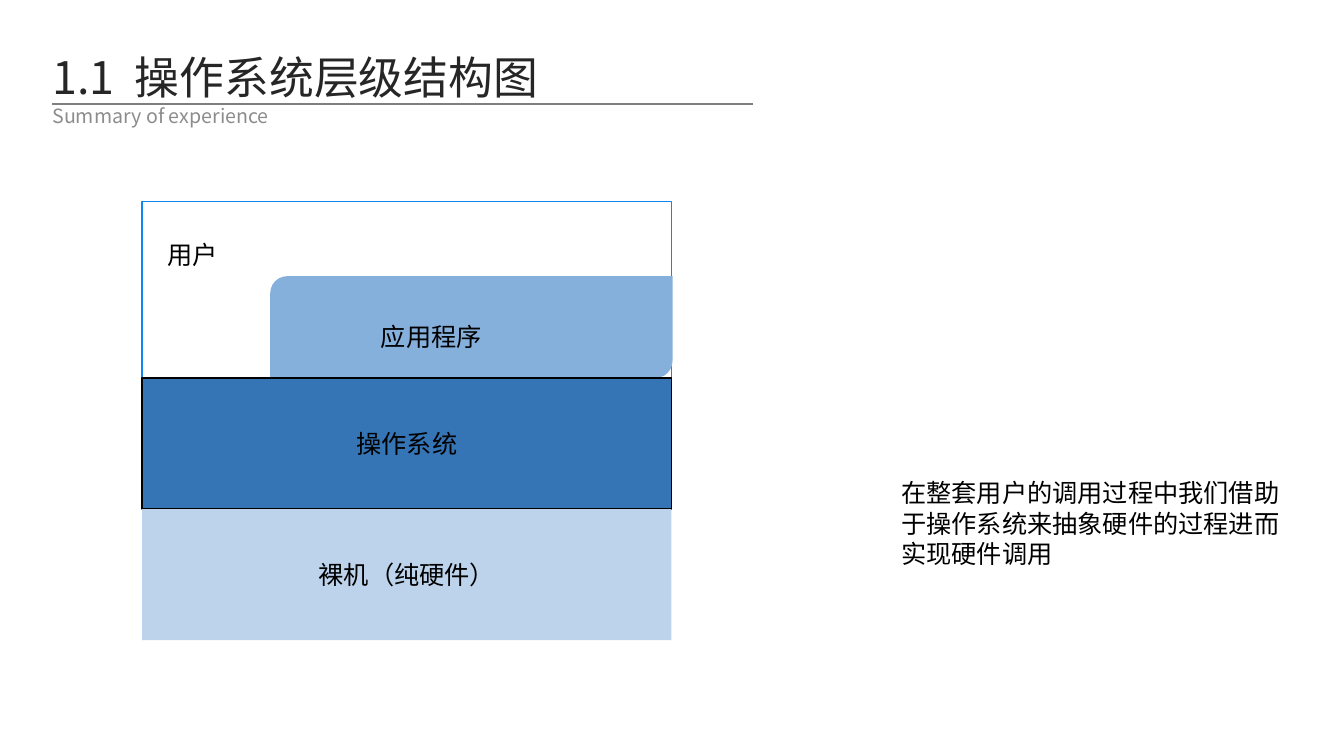
"""Build the slide on the layers of an operating system."""
from lxml import etree
from pptx import Presentation
from pptx.dml.color import RGBColor
from pptx.enum import shapes, text
from pptx.oxml import ns
from pptx.util import Inches, Pt

HUES = {
    "title": "262626", "sub": "8C8C8C", "rule": "7F7F7F", "ink": "000000",
    "user": "FFFFFF", "edge": "1086F4", "app": "85B0DC",
    "system": "3575B6", "metal": "BCD3EB",
}
NOTO = "Noto Sans CJK JP"
KINDS = shapes.MSO_SHAPE


def hue(name):
    return RGBColor.from_string(HUES[name])


def style(shape, size=18, face="Cabin", ink="ink", align="LEFT", anchor="TOP", inset=None):
    frame = shape.text_frame
    frame.word_wrap = True
    frame.auto_size = text.MSO_AUTO_SIZE.NONE
    frame.vertical_anchor = text.MSO_ANCHOR[anchor]
    if inset is not None:
        frame.margin_left = frame.margin_right = Inches(inset)
        frame.margin_top = frame.margin_bottom = Inches(inset)
    for para in frame.paragraphs:
        para.alignment = text.PP_ALIGN[align]
        for run in para.runs:
            run.font.size = Pt(size)
            run.font.name = face
            run.font.color.rgb = hue(ink)
            east = etree.Element(ns.qn("a:ea"), typeface=NOTO)
            run.font._element.find(ns.qn("a:latin")).addnext(east)


deck = Presentation()
deck.slide_width, deck.slide_height = Inches(13.33), Inches(7.5)
slide = deck.slides.add_slide(deck.slide_layouts[5])

title = slide.shapes.title
title.left, title.top = Inches(0.52), Inches(0.49)
title.width, title.height = Inches(5.91), Inches(0.54)
para = title.text_frame.paragraphs[0]
for part in ("1.1", " ", "操作系统层级结构图"):
    para.add_run().text = part
style(title, 32, NOTO, "title", inset=0)
para.runs[1].font._element.set("spc", "720")

sub = slide.shapes.add_textbox(Inches(0.52), Inches(1.03), Inches(3.16), Inches(0.24))
sub.text_frame.text = "Summary of experience"
style(sub, 14, NOTO, "sub", inset=0)

left, width, tall = 1.41, 5.25, 1.3
base = 3.75
layers = [
    ("user", KINDS.RECTANGLE, left, 2, width, 1.75, "edge", ""),
    ("app", KINDS.ROUND_2_DIAG_RECTANGLE, 2.68, 2.74, 3.99, 1.01, None, ""),
    ("system", KINDS.RECTANGLE, left, base, width, tall, "ink", "操作系统"),
    ("metal", KINDS.RECTANGLE, left, base + tall, width, tall, None, "裸机（纯硬件）"),
]
for fill, kind, x, y, w, h, edge, words in layers:
    box = slide.shapes.add_shape(kind, Inches(x), Inches(y), Inches(w), Inches(h))
    box.shadow.inherit = False
    box.fill.solid()
    box.fill.fore_color.rgb = hue(fill)
    if edge:
        box.line.color.rgb = hue(edge)
        box.line.width = Pt(1)
    else:
        box.line.fill.background()
    box.text_frame.text = words
    style(box, align="CENTER", anchor="MIDDLE")

notes = [
    ("用户", 1.56, 2.33, 1.31, 0.4),
    ("应用程序", 3.68, 3.14, 2.25, 0.4),
    ("在整套用户的调用过程中我们借助于操作系统来抽象硬件的过程进而实现硬件调用", 8.84, 4.69, 3.98, 1.01),
]
for words, x, y, w, h in notes:
    note = slide.shapes.add_textbox(Inches(x), Inches(y), Inches(w), Inches(h))
    note.text_frame.text = words
    style(note)

rule = slide.shapes.add_connector(
    shapes.MSO_CONNECTOR.STRAIGHT, Inches(7.47), Inches(1.03), Inches(0.52), Inches(1.03))
rule.line.color.rgb = hue("rule")
rule.line.width = Pt(1)
etree.SubElement(rule._element.spPr, ns.qn("a:effectLst"))

deck.save("out.pptx")
